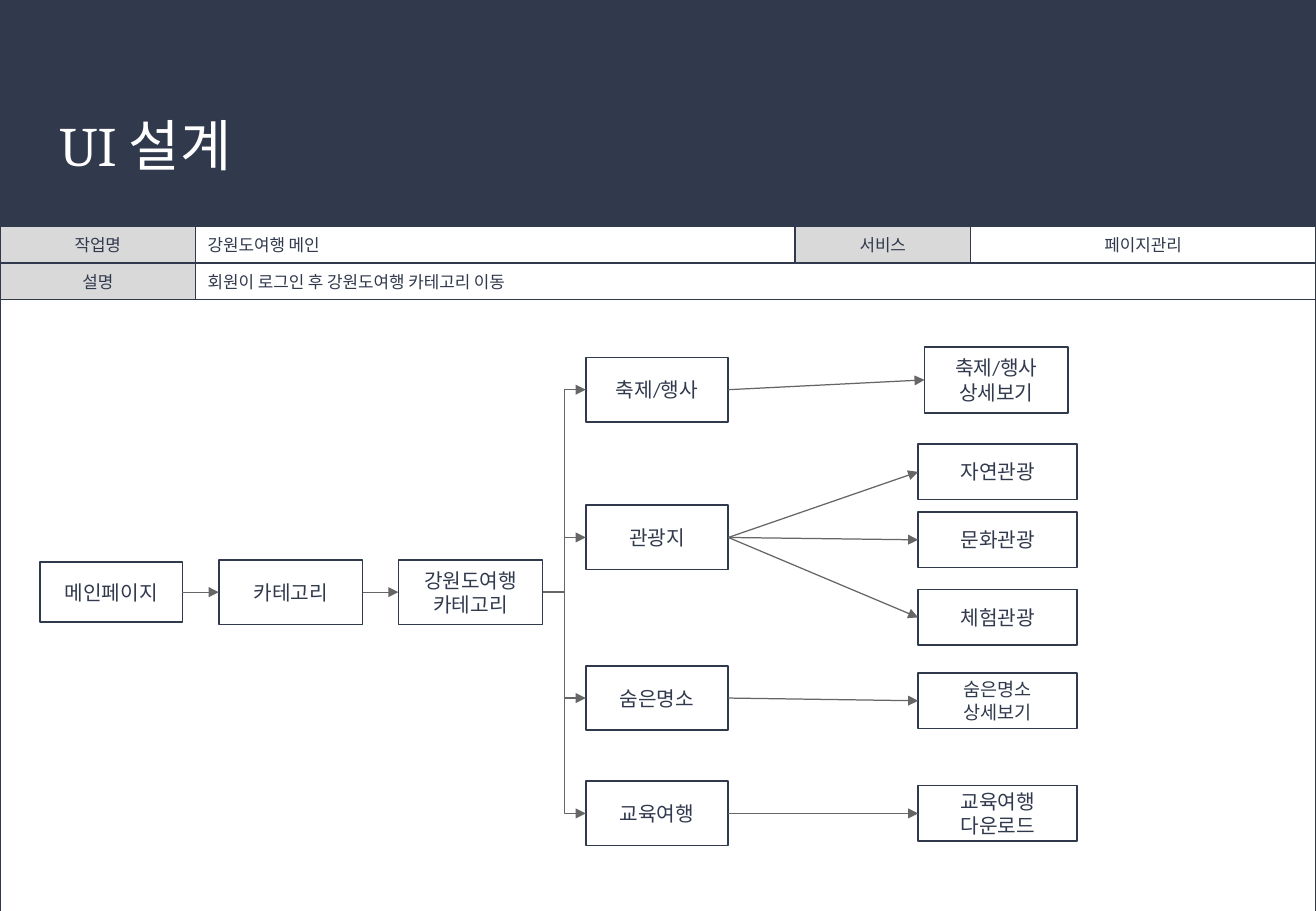
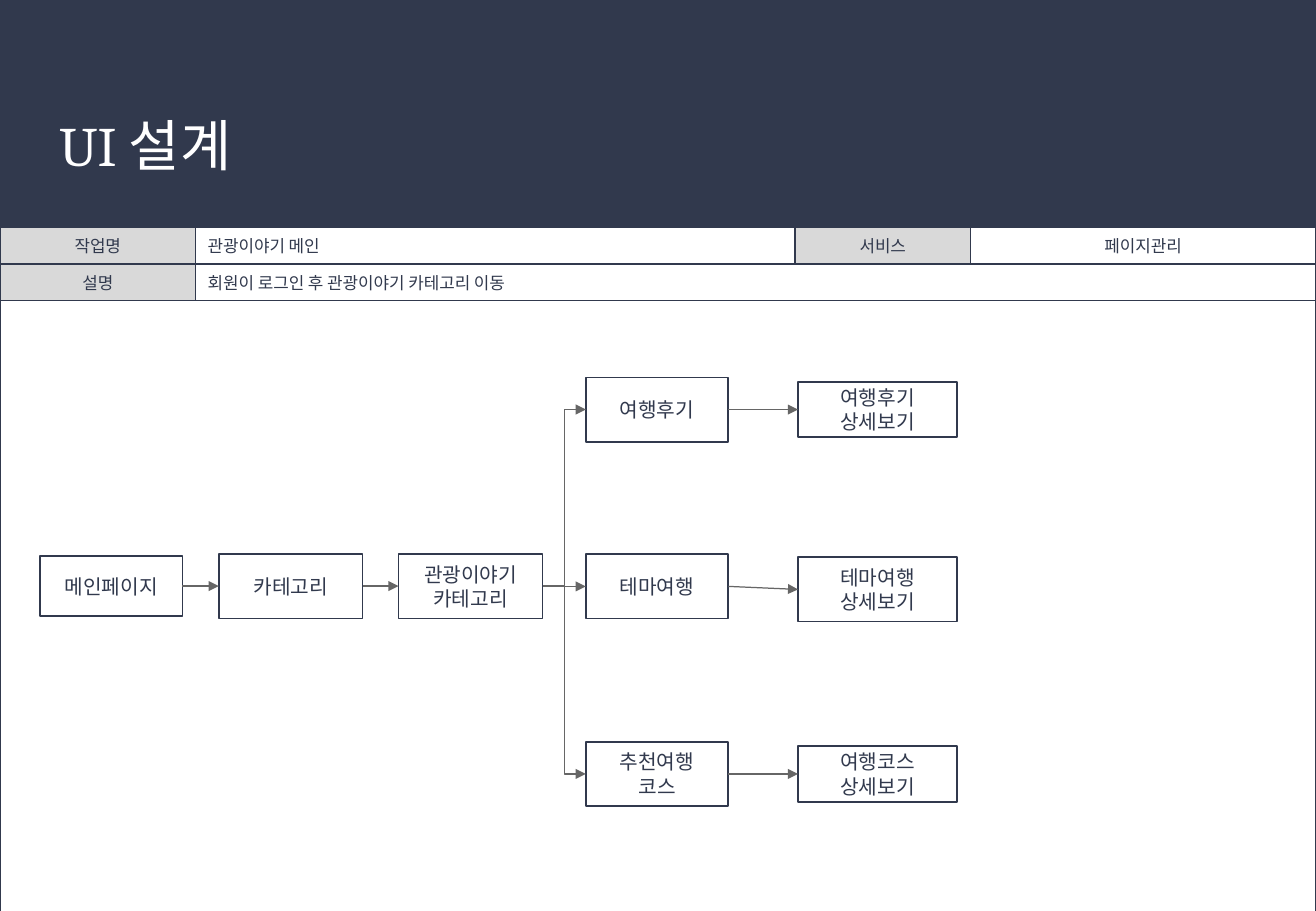
from lxml import etree
from pptx import Presentation
from pptx.dml.color import RGBColor
from pptx.enum.shapes import MSO_CONNECTOR as CONN, MSO_SHAPE as SHAPE
from pptx.enum.text import MSO_ANCHOR as ANCHOR, MSO_AUTO_SIZE as AUTO, PP_ALIGN as ALIGN
from pptx.oxml.ns import qn
from pptx.util import Pt

NAVY, GRAY, LABEL, WHITE = "31394D", "666666", "D9D9D9", "FFFFFF"
SLIDE_W, SLIDE_H, BAND_H = 780, 540, 134
COLS = (115.9, 355.4, 103.9, 204.8)
ROWS = (21.8, 21.8, 367)
LEFT_SITE, RIGHT_SITE = 1, 3


def rgb(hex_color):
    return RGBColor.from_string(hex_color)


def add_run(p, text, size, font, color=NAVY):
    r = p.add_run()
    r.text = text
    r.font.size, r.font.name = Pt(size), font
    r.font.color.rgb = rgb(color)


def setup_layout(prs):
    """Title-only layout with the dark band and the title position."""
    layout = prs.slide_layouts[5]
    title = layout.placeholders[0]
    title.left, title.top, title.width, title.height = Pt(26.6), Pt(52.6), Pt(726.5), Pt(65.5)
    return layout


def add_band(s, layout):
    """Draw the band once and hand it to the layout, behind the title."""
    sp = s.shapes.add_shape(SHAPE.RECTANGLE, 0, 0, Pt(SLIDE_W), Pt(BAND_H))
    sp.shadow.inherit = False
    sp.fill.solid()
    sp.fill.fore_color.rgb = rgb(NAVY)
    sp.line.fill.background()
    layout.shapes.element.insert(2, sp.element)


def set_title(s, text):
    tf = s.shapes.title.text_frame
    tf.auto_size, tf.vertical_anchor = AUTO.NONE, ANCHOR.MIDDLE
    tf.margin_left = tf.margin_right = tf.margin_top = tf.margin_bottom = Pt(8.6)
    p = tf.paragraphs[0]
    p.alignment = ALIGN.LEFT
    add_run(p, text, 33, "Cambria", WHITE)


# Description table
def set_borders(cell):
    tcPr = cell._tc.get_or_add_tcPr()
    for side in ("a:lnL", "a:lnR", "a:lnT", "a:lnB"):
        ln = etree.SubElement(tcPr, qn(side), w=str(Pt(1)))
        fill = etree.SubElement(ln, qn("a:solidFill"))
        etree.SubElement(fill, qn("a:srgbClr"), val=NAVY)


def draw_table(s, left, top, task, description):
    frame = s.shapes.add_table(len(ROWS), len(COLS), Pt(left), Pt(top), Pt(sum(COLS)), Pt(sum(ROWS)))
    tbl = frame.table
    tbl.first_row = tbl.horz_banding = False
    for col, width in zip(tbl.columns, COLS):
        col.width = Pt(width)
    for row, height in zip(tbl.rows, ROWS):
        row.height = Pt(height)
    for cell in tbl.iter_cells():
        set_borders(cell)
        cell.fill.background()
    tbl.cell(1, 1).merge(tbl.cell(1, 3))
    tbl.cell(2, 0).merge(tbl.cell(2, 3))

    # row, column, text, alignment, is it a label
    for row, col, text, align, is_label in (
        (0, 0, "작업명", ALIGN.CENTER, True),
        (0, 1, task, ALIGN.LEFT, False),
        (0, 2, "서비스", ALIGN.CENTER, True),
        (0, 3, "페이지관리", ALIGN.CENTER, False),
        (1, 0, "설명", ALIGN.CENTER, True),
        (1, 1, description, ALIGN.LEFT, False),
    ):
        cell = tbl.cell(row, col)
        cell.vertical_anchor = ANCHOR.MIDDLE
        p = cell.text_frame.paragraphs[0]
        p.alignment = align
        add_run(p, text, 10, "Arial")
        if is_label:
            cell.fill.solid()
            cell.fill.fore_color.rgb = rgb(LABEL)


# Page flow
def add_box(s, lines, x, mid_y, w, h, size=12):
    sp = s.shapes.add_shape(SHAPE.RECTANGLE, Pt(x), Pt(mid_y - h / 2), Pt(w), Pt(h))
    sp.shadow.inherit = False
    sp.fill.background()
    sp.line.color.rgb, sp.line.width = rgb(NAVY), Pt(1)
    tf = sp.text_frame
    tf.word_wrap, tf.vertical_anchor = True, ANCHOR.MIDDLE
    for i, line in enumerate(lines):
        p = tf.add_paragraph() if i else tf.paragraphs[0]
        p.alignment = ALIGN.CENTER
        add_run(p, line, size, "Calibri")
    return sp


def add_arrow(s, kind, a, b):
    """Arrow from the right side of a to the left side of b."""
    cxn = s.shapes.add_connector(kind, a.left + a.width, a.top + a.height // 2,
                                 b.left, b.top + b.height // 2)
    cxn.begin_connect(a, RIGHT_SITE)
    cxn.end_connect(b, LEFT_SITE)
    cxn.line.color.rgb, cxn.line.width = rgb(GRAY), Pt(0.75)
    etree.SubElement(cxn.line._get_or_add_ln(), qn("a:tailEnd"), type="triangle")
    etree.SubElement(cxn._element.spPr, qn("a:effectLst"))


def draw_flow(s, left, top, root, root_y, detail_x, branches):
    """Three boxes in a chain, then branches, each with its detail pages."""
    main = add_box(s, ["메인페이지"], left + 23.6, top + root_y, 84.6, 35.6)
    menu = add_box(s, ["카테고리"], left + 129.7, top + root_y, 85.2, 38.4)
    hub = add_box(s, root, left + 236.2, top + root_y, 85.4, 38.4)
    add_arrow(s, CONN.ELBOW, main, menu)
    add_arrow(s, CONN.ELBOW, menu, hub)
    for lines, branch_y, details in branches:
        branch = add_box(s, lines, left + 347.2, top + branch_y, 84.5, 38.2)
        add_arrow(s, CONN.ELBOW, hub, branch)
        for page, page_y, style in details:
            opts = {"x": detail_x, "w": 94.4, "h": 33, **style}
            opts["x"] += left
            add_arrow(s, CONN.STRAIGHT, branch, add_box(s, page, mid_y=top + page_y, **opts))


PAGES = [
    dict(task="강원도여행 메인", description="회원이 로그인 후 강원도여행 카테고리 이동", table_top=134,
         flow=dict(root=["강원도여행", "카테고리"], root_y=217, detail_x=544.2, branches=[
             (["축제/행사"], 97, [(["축제/행사", "상세보기"], 91.2, dict(x=548, w=85.2, h=39.2))]),
             (["관광지"], 184.6, [(["자연관광"], 145.7, {}), (["문화관광"], 186, {}),
                               (["체험관광"], 232, {})]),
             (["숨은명소"], 279.8, [(["숨은명소", "상세보기"], 281.4, dict(size=11))]),
             (["교육여행"], 348.2, [(["교육여행", "다운로드"], 348.2, {})]),
         ])),
    dict(task="관광이야기 메인", description="회원이 로그인 후 관광이야기 카테고리 이동", table_top=134.6,
         flow=dict(root=["관광이야기", "카테고리"], root_y=213.4, detail_x=473, branches=[
             (["여행후기"], 108.8, [(["여행후기", "상세보기"], 108.8, {})]),
             (["테마여행"], 213.6, [(["테마여행", "상세보기"], 215.4, dict(h=38.2))]),
             (["추천여행", "코스"], 324.8, [(["여행코스", "상세보기"], 324.8, {})]),
         ])),
]


def main():
    prs = Presentation()
    prs.slide_width, prs.slide_height = Pt(SLIDE_W), Pt(SLIDE_H)
    layout = setup_layout(prs)
    for i, page in enumerate(PAGES):
        s = prs.slides.add_slide(layout)
        if i == 0:
            add_band(s, layout)
        set_title(s, "UI 설계")
        draw_table(s, 0, page["table_top"], page["task"], page["description"])
        draw_flow(s, 0, BAND_H, **page["flow"])
    prs.save("out.pptx")


if __name__ == "__main__":
    main()
